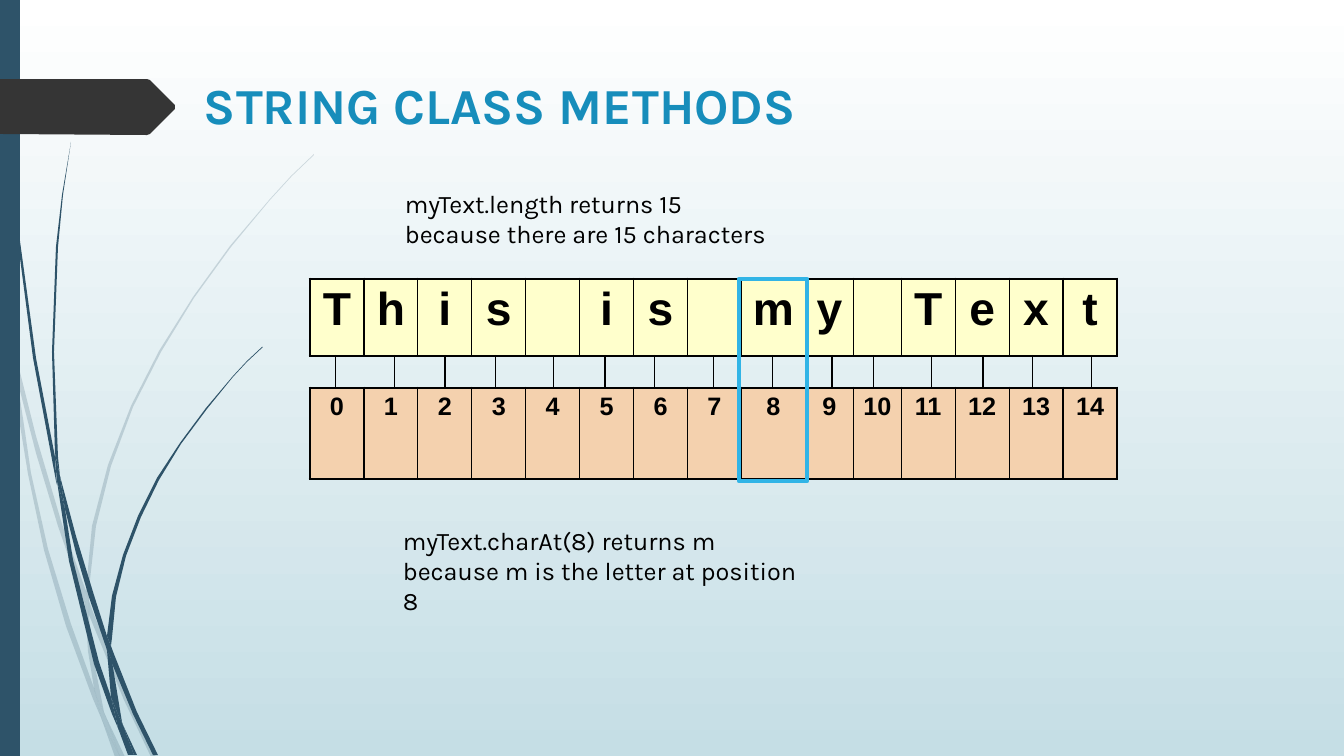
import dataclasses

import lxml.etree
import pptx
import pptx.dml.color
import pptx.enum.shapes
import pptx.enum.text
import pptx.oxml.ns
import pptx.util

EMU_PER_PX = 914400 / 100.8
PHRASE = "This is my Text"
COLUMN_WEIGHTS = [54] * 8 + [64, 48, 48] + [54] * 4
TICK_OFFSETS = [26, 85, 135, 186, 244, 295, 345, 404, 463, 522, 564, 622, 673, 723, 782]
PALE_BLADES = [
    [(11, 353), (9, 325), (0, 284), (0, 301), (10, 347)],
    [(58, 526), (85, 604), (86, 591), (62, 524), (36, 436), (14, 348), (17, 379), (36, 453)],
    [(93, 612), (89, 601), (89, 615), (124, 700), (151, 757), (156, 757), (128, 698)],
    [(120, 757), (125, 757), (106, 717)],
    [(94, 688), (71, 624), (48, 549), (31, 473), (24, 425), (17, 379), (11, 353), (18, 413),
     (28, 474), (44, 550), (66, 626), (93, 699), (102, 720), (100, 713)],
    [(85, 604), (88, 651), (94, 688), (97, 698), (106, 717), (104, 712), (92, 651), (89, 615),
     (89, 613)],
    [(89, 589), (96, 526), (111, 466), (133, 407), (161, 352), (194, 298), (231, 247), (270, 200),
     (292, 176), (314, 155), (314, 154), (291, 176), (270, 199), (230, 246), (193, 297),
     (159, 351), (131, 406), (108, 465), (92, 526), (86, 589), (86, 591), (89, 601)],
    [(102, 720), (115, 757), (120, 757)],
    [(89, 613), (89, 615), (89, 601), (86, 591), (85, 604)],
    [(97, 698), (94, 688), (100, 713), (102, 720), (120, 757), (106, 717)],
]
DARK_BLADES = [
    [(7, 111), (17, 235), (33, 358), (56, 481), (57, 485), (55, 461), (55, 457), (36, 358),
     (19, 234), (8, 110), (5, 48), (4, 0), (3, 0), (4, 48)],
    [(89, 597), (107, 650), (107, 638), (107, 636), (94, 595), (76, 536), (60, 476), (65, 509),
     (76, 553)],
    [(114, 654), (111, 646), (111, 661), (133, 714), (153, 755), (158, 755), (137, 712)],
    [(111, 697), (99, 662), (73, 560), (65, 509), (57, 481), (69, 561), (94, 664), (112, 714),
     (118, 728), (117, 723)],
    [(60, 476), (58, 457), (54, 352), (58, 247), (63, 195), (71, 142), (62, 195), (56, 247),
     (52, 352), (55, 453)],
    [(134, 755), (137, 755), (123, 725)],
    [(57, 481), (65, 509), (60, 476), (55, 453), (55, 457)],
    [(112, 638), (116, 597), (126, 556), (141, 517), (159, 480), (181, 444), (207, 409),
     (233, 377), (247, 362), (263, 347), (262, 347), (247, 361), (233, 376), (206, 408),
     (180, 443), (157, 478), (138, 516), (123, 555), (112, 596), (107, 636), (111, 646)],
    [(118, 728), (128, 755), (132, 755)],
    [(107, 650), (111, 697), (117, 712), (123, 725), (122, 722), (112, 661), (110, 656)],
    [(107, 650), (110, 656), (112, 661), (111, 646), (107, 636), (107, 638)],
    [(117, 712), (111, 697), (117, 723), (118, 728), (131, 755), (134, 755), (123, 725)],
]
TITLE_TAG = [(0, 79), (147, 79), (150, 80), (175, 105), (175, 109), (150, 134), (147, 135), (0, 134)]


@dataclasses.dataclass(frozen=True)
class Theme:
    """Colours, fonts and type sizes of the slide."""
    sky: tuple = ("FFFFFF", "C5DEE5")
    navy: str = "2E5369"
    charcoal: str = "353535"
    title: str = "178DBB"
    highlight: str = "31B4E6"
    ink: str = "000000"
    letter_fill: str = "FFFFCC"
    index_fill: str = "F4D1AE"
    text_font: str = "Karla"
    table_font: str = "Arial"
    title_size: int = 36
    letter_size: int = 33
    body_size: int = 18
    pale_alpha: int = 20


THEME = Theme()


def emu(pixels):
    """Turn px into EMU."""
    return pptx.util.Emu(round(pixels * EMU_PER_PX))


def rgb(value):
    """Turn a hex string into a colour."""
    return pptx.dml.color.RGBColor.from_string(value)


def add_element(parent, tag, **attributes):
    """Append a namespaced element and return it."""
    return lxml.etree.SubElement(parent, pptx.oxml.ns.qn(tag), **attributes)


def set_font(paragraph, name, size, color, bold=False):
    """Set the font of a whole paragraph."""
    font = paragraph.font
    font.name, font.size, font.bold = name, pptx.util.Pt(size), bold
    font.color.rgb = rgb(color)


def paint(shape, color, alpha=100):
    """Give a shape a plain fill without line or shadow."""
    shape.shadow.inherit = False
    shape.line.fill.background()
    shape.fill.solid()
    shape.fill.fore_color.rgb = rgb(color)
    if alpha < 100:
        color_element = shape._element.spPr.find(".//" + pptx.oxml.ns.qn("a:srgbClr"))
        add_element(color_element, "a:alpha", val=str(alpha * 1000))


def add_outline(slide, left, top, points, color, alpha=100):
    """Draw one filled outline."""
    outline = [(emu(left + x), emu(top + y)) for x, y in points]
    builder = slide.shapes.build_freeform(*outline[0])
    builder.add_line_segments(outline[1:], close=True)
    paint(builder.convert_to_shape(), color, alpha)


def add_backdrop(slide, left, top, height):
    """Draw the gradient, the blades, the side bar and the title tag."""
    fill = slide.background.fill
    fill.gradient()
    fill.gradient_angle = 270
    for position, (stop, color) in enumerate(zip(fill.gradient_stops, THEME.sky)):
        stop.position = position
        stop.color.rgb = rgb(color)
    for blades, alpha in ((PALE_BLADES, THEME.pale_alpha), (DARK_BLADES, 100)):
        for points in blades:
            add_outline(slide, left, top, points, THEME.navy, alpha)
    bar = slide.shapes.add_shape(
        pptx.enum.shapes.MSO_SHAPE.RECTANGLE, emu(left), emu(top), emu(20), emu(height))
    paint(bar, THEME.navy)
    add_outline(slide, left, top, TITLE_TAG, THEME.charcoal)


def add_text(slide, left, top, width, height, lines, size, color, bold=False):
    """Place a text box with one paragraph for each line."""
    frame = slide.shapes.add_textbox(emu(left), emu(top), emu(width), emu(height)).text_frame
    frame.word_wrap = True
    frame.text = "\n".join(lines)
    for paragraph in frame.paragraphs:
        set_font(paragraph, THEME.text_font, size, color, bold)


def set_borders(cell, is_first, is_last):
    """Draw thick outer and thin inner borders around a cell."""
    properties = cell._tc.get_or_add_tcPr()
    widths = {"L": 2.25 if is_first else 1, "R": 2.25 if is_last else 1, "T": 2.25, "B": 2.25}
    for side, width in widths.items():
        line = add_element(properties, "a:ln" + side, w=str(pptx.util.Pt(width)))
        add_element(add_element(line, "a:solidFill"), "a:srgbClr", val=THEME.ink)


def add_strip(slide, left, top, width, height, labels, size, color):
    """Place a one-row table with a label in each cell."""
    table = slide.shapes.add_table(
        1, len(labels), emu(left), emu(top), emu(width), emu(height)).table
    table.first_row = table.horz_banding = False
    for index, (label, weight) in enumerate(zip(labels, COLUMN_WEIGHTS)):
        table.columns[index].width = emu(width * weight / sum(COLUMN_WEIGHTS))
        cell = table.cell(0, index)
        cell.margin_left = cell.margin_right = 0
        set_borders(cell, index == 0, index == len(labels) - 1)
        cell.fill.solid()
        cell.fill.fore_color.rgb = rgb(color)
        cell.text = label.strip()
        paragraph = cell.text_frame.paragraphs[0]
        paragraph.alignment = pptx.enum.text.PP_ALIGN.CENTER
        set_font(paragraph, THEME.table_font, size, THEME.ink, bold=True)


def add_character_map(slide, left, top, width, height):
    """Pair each letter with its index and frame position 8."""
    index_top = top + 109
    add_strip(slide, left, top, width, 77, PHRASE, THEME.letter_size, THEME.letter_fill)
    add_strip(slide, left, index_top, width, height - 109, [str(i) for i in range(len(PHRASE))],
              THEME.body_size, THEME.index_fill)
    for offset in TICK_OFFSETS:
        x = emu(left + offset)
        tick = slide.shapes.add_connector(
            pptx.enum.shapes.MSO_CONNECTOR.STRAIGHT, x, emu(top + 76), x, emu(index_top))
        tick.line.color.rgb = rgb(THEME.ink)
        tick.line.width = pptx.util.Pt(0.75)
        add_element(tick._element.spPr, "a:effectLst")
    frame = slide.shapes.add_shape(
        pptx.enum.shapes.MSO_SHAPE.RECTANGLE, emu(left + 429), emu(top), emu(68), emu(height + 2))
    frame.shadow.inherit = False
    frame.fill.background()
    frame.line.color.rgb = rgb(THEME.highlight)
    frame.line.width = pptx.util.Pt(3.25)


def main():
    """Build the slide and save it."""
    presentation = pptx.Presentation()
    presentation.slide_width, presentation.slide_height = emu(1344), emu(756)
    slide = presentation.slides.add_slide(presentation.slide_layouts[6])
    add_backdrop(slide, 0, 0, 756)
    add_character_map(slide, 310, 279, 807, 200)
    notes = [(395, 183, 382, ["myText.length returns 15", "because there are 15 characters"]),
             (393, 520, 424, ["myText.charAt(8) returns m", "because m is the letter at position 8"])]
    for left, top, width, lines in notes:
        add_text(slide, left, top, width, 72, lines, THEME.body_size, THEME.ink)
    add_text(slide, 194, 69, 1074, 90, ["STRING CLASS METHODS"],
             THEME.title_size, THEME.title, bold=True)
    presentation.save("out.pptx")


if __name__ == "__main__":
    main()
